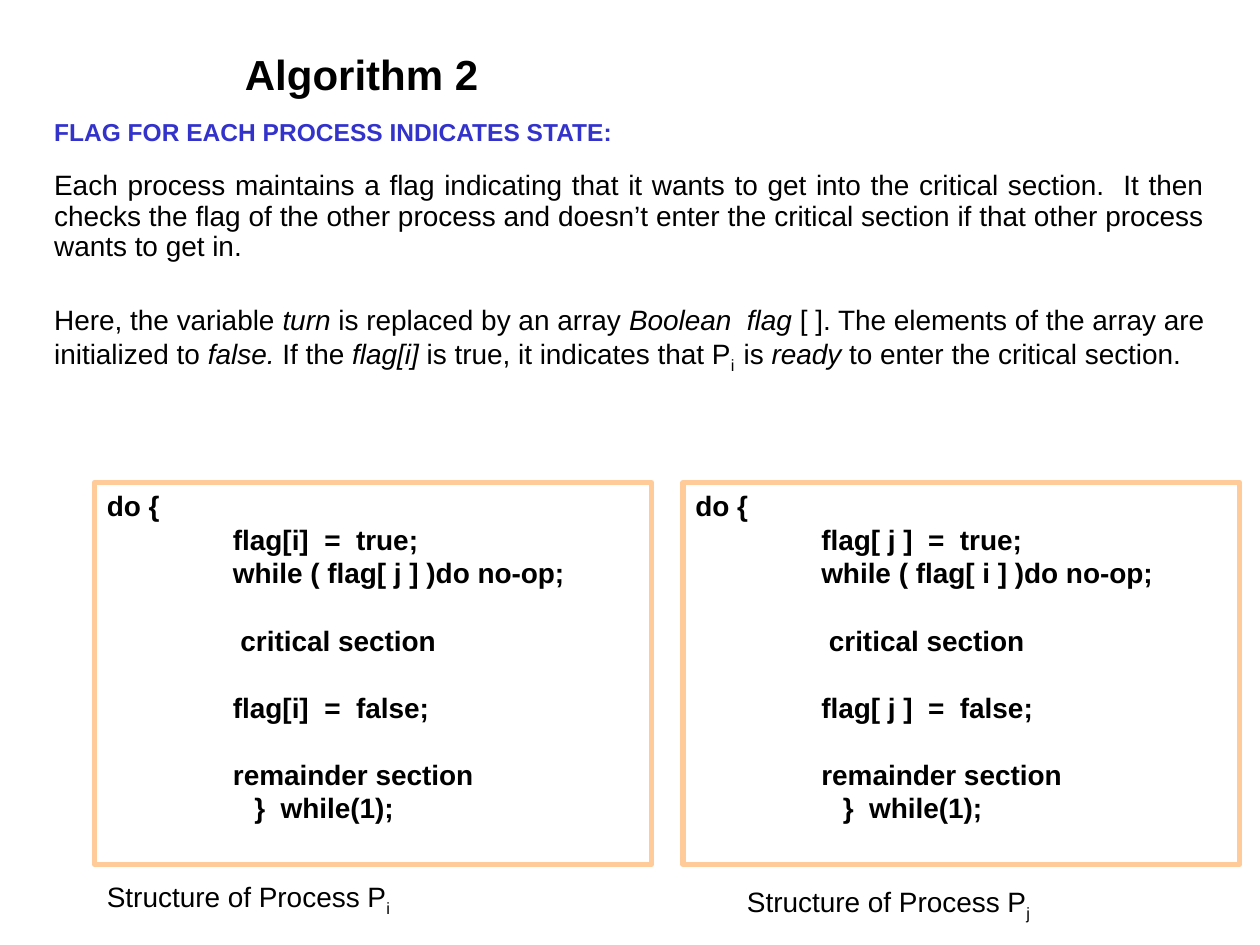
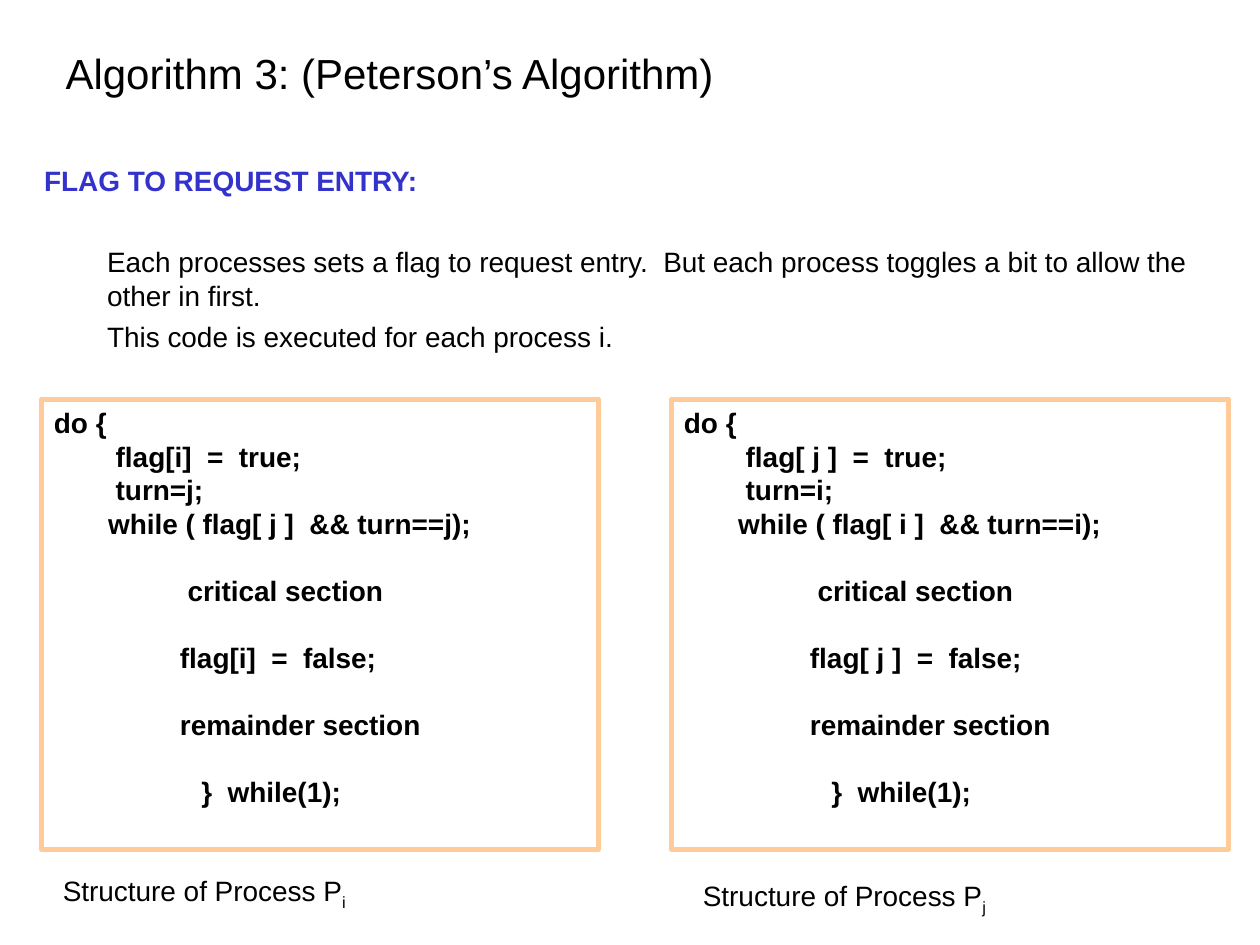
"""Build two slides on process flags and critical sections."""
from dataclasses import dataclass

from pptx import Presentation
from pptx.dml.color import RGBColor
from pptx.enum.shapes import MSO_SHAPE as Kind
from pptx.enum.text import MSO_ANCHOR as Anchor
from pptx.enum.text import MSO_AUTO_SIZE as Fit
from pptx.enum.text import PP_ALIGN as Align
from pptx.util import Inches, Pt

BLACK = RGBColor(0x00, 0x00, 0x00)
BLUE = RGBColor(0x33, 0x33, 0xCC)
PEACH = RGBColor(0xFF, 0xCC, 0x99)
FONT = "Arial"
BLANK = 19.2
BOX_WIDTH = 4.42


@dataclass
class Run:
    text: str
    bold: bool = False
    slant: bool = False
    sub: bool = False
    size: float = 16
    color: RGBColor = BLACK


@dataclass
class Para:
    runs: list[Run]
    before: float = 0
    indent: float = 0
    pitch: float = 1.0
    align: Align = Align.LEFT


@dataclass
class Line:
    text: str
    indent: float = 0
    gap: int = 0


@dataclass
class Side:
    mine: str
    other: str
    me: str
    you: str
    left: float
    note_left: float
    note_top: float


@dataclass
class Page:
    title: Para
    title_at: tuple[float, float, float, float]
    anchor: Anchor
    body: list[Para]
    body_at: tuple[float, float, float, float]
    code: list[Line]
    top: float
    height: float
    sides: list[Side]


def write(frame, paras: list[Para], anchor: Anchor = Anchor.TOP) -> None:
    """Fill a text frame run by run."""
    frame.word_wrap = True
    frame.auto_size = Fit.NONE
    frame.vertical_anchor = anchor
    frame.margin_left = frame.margin_right = Inches(0.1)
    frame.margin_top = frame.margin_bottom = Inches(0.05)
    for order, para in enumerate(paras):
        item = frame.add_paragraph() if order else frame.paragraphs[0]
        item.alignment = para.align
        item.line_spacing = para.pitch
        item.space_before = Pt(para.before)
        props = item._p.get_or_add_pPr()
        props.set("marL", str(Inches(para.indent)))
        props.set("indent", "0")
        for part in para.runs:
            run = item.add_run()
            run.text = part.text
            font = run.font
            font.name, font.size = FONT, Pt(part.size)
            font.bold, font.italic = part.bold, part.slant
            font.color.rgb = part.color
            if part.sub:
                run._r.get_or_add_rPr().set("baseline", "-25000")


def place(shape, at: tuple[float, float, float, float]) -> None:
    """Move and size a placeholder."""
    shape.left, shape.top, shape.width, shape.height = map(Inches, at)


def add_code(slide, page: Page, side: Side) -> None:
    """Draw one framed listing and its caption."""
    box = slide.shapes.add_shape(
        Kind.RECTANGLE, Inches(side.left), Inches(page.top),
        Inches(BOX_WIDTH), Inches(page.height))
    box.shadow.inherit = False
    box.fill.background()
    box.line.color.rgb = PEACH
    box.line.width = Pt(3)
    words = {"mine": side.mine, "other": side.other, "you": side.you}
    write(box.text_frame, [
        Para([Run(line.text.format(**words), bold=True)],
             before=line.gap * BLANK, indent=line.indent)
        for line in page.code])
    note = slide.shapes.add_textbox(
        Inches(side.note_left), Inches(side.note_top), Inches(4.52), Inches(0.41))
    write(note.text_frame, [
        Para([Run("Structure of Process P"), Run(side.me, sub=True)], before=4)])


def add_page(deck, page: Page) -> None:
    """Add one slide with title, body and two listings."""
    slide = deck.slides.add_slide(deck.slide_layouts[0])
    title, body = slide.shapes.title, slide.placeholders[1]
    place(title, page.title_at)
    write(title.text_frame, [page.title], page.anchor)
    place(body, page.body_at)
    write(body.text_frame, page.body)
    for side in page.sides:
        add_code(slide, page, side)


def make_sides(lefts: tuple[float, float], notes: tuple[float, float],
               top: float) -> list[Side]:
    """Pair the listings of process i and process j."""
    return [
        Side("[i]", "[ j ]", "i", "j", lefts[0], notes[0], top),
        Side("[ j ]", "[ i ]", "j", "i", lefts[1], notes[1], top + 0.04),
    ]


TAIL = [
    Line("critical section", 1.06, 1),
    Line("flag{mine}  =  false;", 1, 1),
    Line("remainder section", 1, 1),
]
END = "}}  while(1);"

FLAGS = Page(
    title=Para([Run("Algorithm 2", bold=True, size=24)], align=Align.CENTER),
    title_at=(0.33, 0.25, 5.08, 0.67),
    anchor=Anchor.MIDDLE,
    body=[
        Para([Run("FLAG FOR EACH PROCESS INDICATES STATE:", bold=True, size=14,
                  color=BLUE)], before=3.5, pitch=0.8, align=Align.JUSTIFY),
        Para([Run("Each process maintains a flag indicating that it wants to get "
                  "into the critical section.  It then checks the flag of the other "
                  "process and doesn’t enter the critical section if that other "
                  "process wants to get in.")],
             before=14.8, pitch=0.9, align=Align.JUSTIFY),
        Para([
            Run("Here, the variable "), Run("turn ", slant=True),
            Run("is replaced by an array "), Run("Boolean  flag ", slant=True),
            Run("[ ]. The elements of the array are initialized to "),
            Run("false. ", slant=True), Run("If the "), Run("flag[i] ", slant=True),
            Run("is true, it indicates that P"), Run("i  ", sub=True), Run("is "),
            Run("ready ", slant=True), Run("to enter the critical section."),
        ], before=25.3, pitch=0.9, align=Align.JUSTIFY),
    ],
    body_at=(0.33, 0.92, 9.33, 2.5),
    code=[
        Line("do {{"),
        Line("flag{mine}  =  true;", 1),
        Line("while ( flag{other} )do no-op;", 1),
        *TAIL,
        Line(END, 1.17),
    ],
    top=3.83,
    height=3.03,
    sides=make_sides((0.75, 5.42), (0.75, 5.83), 6.93),
)

TURNS = Page(
    title=Para([Run("Algorithm 3: (Peterson’s Algorithm)", size=24)], before=6),
    title_at=(0.42, 0.33, 9.5, 0.83),
    anchor=Anchor.TOP,
    body=[
        Para([Run("FLAG TO REQUEST ENTRY:", bold=True, color=BLUE)], before=4),
        Para([Run("Each processes sets a flag to request entry.  But each process "
                  "toggles a bit to allow the other in first.")],
             before=8 + BLANK, indent=0.5),
        Para([Run("This code is executed for each process i.")],
             before=4, indent=0.5),
    ],
    body_at=(0.25, 1.25, 9.5, 1.5),
    code=[
        Line("do {{"),
        Line("flag{mine}  =  true;", 0.49),
        Line("turn={you};", 0.49),
        Line("while ( flag{other}  && turn=={you});", 0.43),
        *TAIL,
        Line(END, 1.17, 1),
    ],
    top=3.17,
    height=3.57,
    sides=make_sides((0.33, 5.33), (0.4, 5.48), 6.88),
)


def main() -> None:
    """Build and save the deck."""
    deck = Presentation()
    deck.slide_width, deck.slide_height = Inches(10), Inches(7.5)
    for page in (FLAGS, TURNS):
        add_page(deck, page)
    deck.save("out.pptx")


main()
